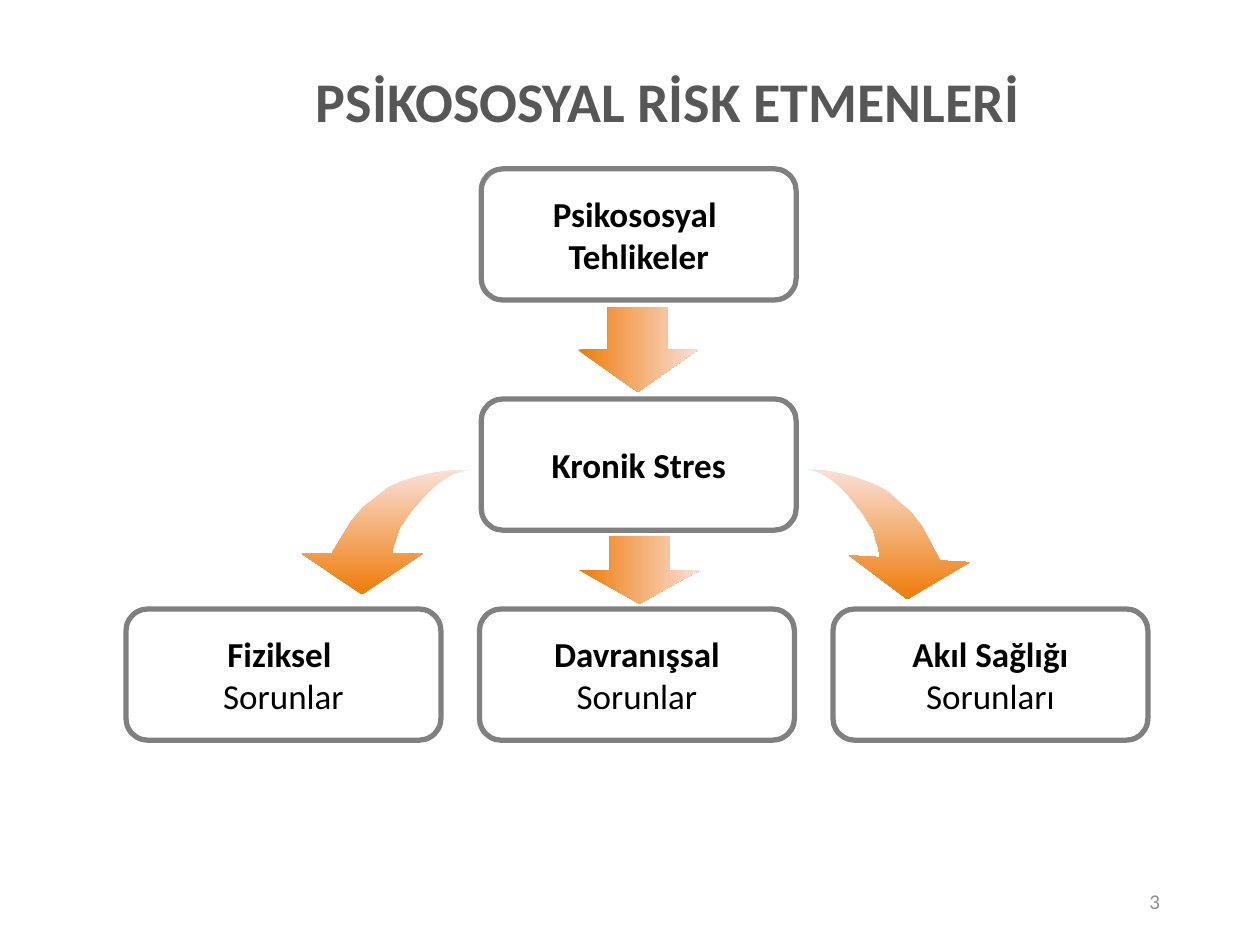
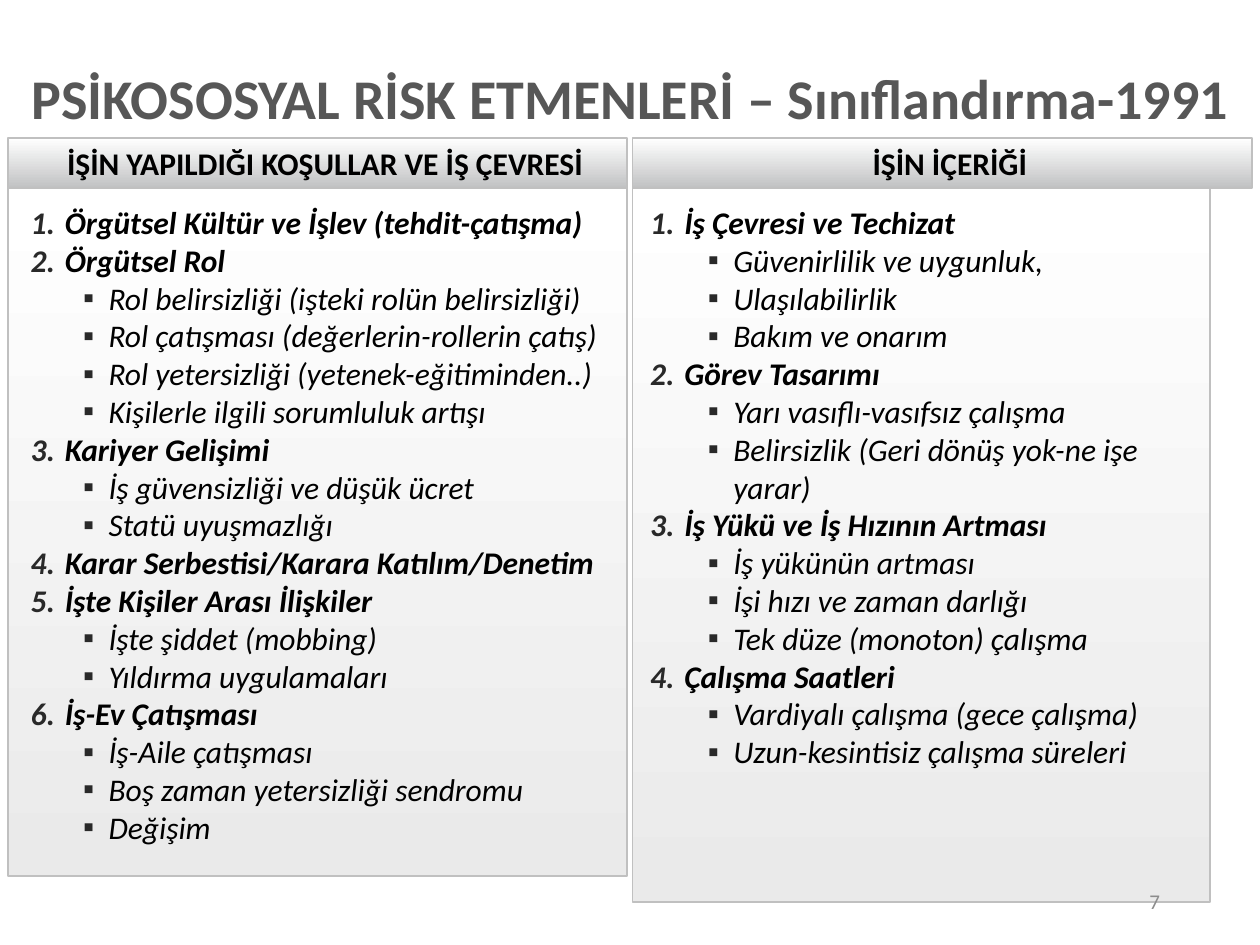
from math import cos, radians, sin

from lxml.etree import SubElement
from pptx import Presentation
from pptx.dml.color import RGBColor
from pptx.enum.shapes import MSO_SHAPE as SHAPE
from pptx.enum.text import MSO_ANCHOR as ANCHOR, MSO_AUTO_SIZE as AUTO, PP_ALIGN as ALIGN
from pptx.oxml.ns import qn
from pptx.util import Pt

FONT = "Calibri"
BLACK, TITLE_GRAY, PAGE_GRAY = "000000", "575757", "8C8C8C"
BOX_LINE, PANEL_LINE, BULLET = "808080", "C0C0C0", "292929"
ORANGE, PEACH = "EE7B08", "FAE0D8"
HEADER_GRADIENT = ("FFFFFF", "C1C2C3")
PANEL_GRADIENT = ("FFFFFF", "EAEAEA")

RISK_TITLE = "PSİKOSOSYAL RİSK ETMENLERİ"
CLASS_TITLE = "PSİKOSOSYAL RİSK ETMENLERİ – Sınıflandırma-1991"

CAUSES = [
    (96.5, [("Psikososyal ", True), ("Tehlikeler", True)]),
    (228, [("Kronik Stres", True)]),
]
PROBLEMS = [
    [("Fiziksel ", True), ("Sorunlar", False)],
    [("Davranışsal", True), ("Sorunlar", False)],
    [("Akıl Sağlığı", True), ("Sorunları", False)],
]
DOWN_ARROWS = [(330, 175.5, 69, 48.5), (331, 306.5, 69, 38.5)]
CURVED_ARROW = [
    (0, 0), (11, 0), (21, 1.5), (30, 3.5), (39.5, 6.5), (47.5, 10), (55, 16),
    (62, 21.5), (68.5, 29), (74, 38), (80, 48), (97, 48), (62.5, 71), (28, 48),
    (45.5, 48), (44.5, 43), (43, 39), (41, 33), (37.5, 28), (34, 23),
    (29.5, 18), (25, 13), (20, 8.5), (15, 5), (9.5, 2), (4, 0.5),
]

COLUMNS = [
    {
        "header": "İŞİN YAPILDIĞI KOŞULLAR VE İŞ ÇEVRESİ",
        "left": 4.5, "panel": (354, 393), "indent": 24,
        "groups": [
            ("Örgütsel Kültür ve İşlev (tehdit-çatışma)", []),
            ("Örgütsel Rol", [
                "Rol belirsizliği (işteki rolün belirsizliği)",
                "Rol çatışması (değerlerin-rollerin çatış)",
                "Rol yetersizliği (yetenek-eğitiminden..)",
                "Kişilerle ilgili sorumluluk artışı"]),
            ("Kariyer Gelişimi", [
                "İş güvensizliği ve düşük ücret",
                "Statü uyuşmazlığı"]),
            ("Karar Serbestisi/Karara Katılım/Denetim", []),
            ("İşte Kişiler Arası İlişkiler", [
                "İşte şiddet (mobbing)",
                "Yıldırma uygulamaları"]),
            ("İş-Ev Çatışması", [
                "İş-Aile çatışması",
                "Boş zaman yetersizliği sendromu",
                "Değişim"]),
        ],
    },
    {
        "header": "İŞİN İÇERİĞİ",
        "left": 361.5, "panel": (330, 408), "indent": 21,
        "groups": [
            ("İş Çevresi ve Techizat", [
                "Güvenirlilik ve uygunluk,",
                "Ulaşılabilirlik",
                "Bakım ve onarım"]),
            ("Görev Tasarımı", [
                "Yarı vasıflı-vasıfsız çalışma",
                "Belirsizlik (Geri dönüş yok-ne işe yarar)"]),
            ("İş Yükü ve İş Hızının Artması", [
                "İş yükünün artması",
                "İşi hızı ve zaman darlığı",
                "Tek düze (monoton) çalışma"]),
            ("Çalışma Saatleri", [
                "Vardiyalı çalışma (gece çalışma)",
                "Uzun-kesintisiz çalışma süreleri"]),
        ],
    },
]


def rgb(color):
    return RGBColor.from_string(color)


def place(sp, left, top, width, height):
    sp.left, sp.top, sp.width, sp.height = Pt(left), Pt(top), Pt(width), Pt(height)


def frame(sp, anchor, margins, wrap=True):
    tf = sp.text_frame
    tf.auto_size, tf.word_wrap, tf.vertical_anchor = AUTO.NONE, wrap, anchor
    tf.margin_left, tf.margin_top, tf.margin_right, tf.margin_bottom = map(Pt, margins)
    return tf


def style(p, size, color=BLACK, bold=False, italic=False, align=ALIGN.LEFT):
    p.alignment = align
    p.space_before = Pt(0)
    for r in p.runs:
        f = r.font
        f.name, f.size, f.bold, f.italic = FONT, Pt(size), bold, italic
        f.color.rgb = rgb(color)


def gradient(sp, colors, angle):
    sp.fill.gradient()
    sp.fill.gradient_angle = angle
    for stop, color in zip(sp.fill.gradient_stops, colors):
        stop.color.rgb = rgb(color)


def outline(sp, color, width):
    sp.line.color.rgb = rgb(color)
    sp.line.width = Pt(width)


def indent(p, left, first):
    pPr = p._p.get_or_add_pPr()
    pPr.set("marL", str(Pt(left)))
    pPr.set("indent", str(Pt(first)))
    return pPr


def bullet(p, left, first, numbered):
    pPr = indent(p, left, first)
    SubElement(SubElement(pPr, qn("a:buClr")), qn("a:srgbClr")).set("val", BULLET)
    if numbered:
        SubElement(pPr, qn("a:buFontTx"))
        SubElement(pPr, qn("a:buAutoNum")).set("type", "arabicPeriod")
    else:
        SubElement(pPr, qn("a:buChar")).set("char", "▪")


def new_slide(prs, layout, title, title_box, number):
    s = prs.slides.add_slide(prs.slide_layouts[layout])
    place(s.shapes.title, *title_box)
    tf = frame(s.shapes.title, ANCHOR.MIDDLE, (0, 3.6, 0, 3.6))
    tf.text = title
    tf.paragraphs[0].line_spacing = 0.9
    style(tf.paragraphs[0], 32, TITLE_GRAY, bold=True)
    sp = s.shapes.add_textbox(Pt(508), Pt(500.5), Pt(162), Pt(29))
    tf = frame(sp, ANCHOR.MIDDLE, (7.2, 3.6, 7.2, 3.6))
    tf.text = number
    style(tf.paragraphs[0], 12, PAGE_GRAY, align=ALIGN.RIGHT)
    return s


def add_box(s, left, top, lines):
    sp = s.shapes.add_shape(SHAPE.ROUNDED_RECTANGLE, Pt(left), Pt(top), Pt(180), Pt(75))
    sp.shadow.inherit = False
    sp.fill.background()
    outline(sp, BOX_LINE, 3)
    tf = frame(sp, ANCHOR.MIDDLE, (7.2, 3.6, 7.2, 3.6), wrap=False)
    tf.text = "\n".join(text for text, _ in lines)
    for p, (_, bold) in zip(tf.paragraphs, lines):
        style(p, 20, bold=bold, align=ALIGN.CENTER)


def finish_arrow(sp, colors, angle):
    sp.shadow.inherit = False
    sp.line.fill.background()
    gradient(sp, colors, angle)


def add_curved_arrow(s, left, top, side, turn):
    c, n = cos(radians(turn)), sin(radians(turn))
    points = [(Pt(left + side * x * c - y * n), Pt(top + side * x * n + y * c))
              for x, y in CURVED_ARROW]
    fb = s.shapes.build_freeform(*points[0])
    fb.add_line_segments(points[1:], close=True)
    finish_arrow(fb.convert_to_shape(), (PEACH, ORANGE), 270)


def fill_column(header, panel, column):
    width, height = column["panel"]
    place(header, column["left"], 79, 354, 28.5)
    gradient(header, HEADER_GRADIENT, 270)
    outline(header, PANEL_LINE, 1)
    tf = frame(header, ANCHOR.MIDDLE, (0, 0, 0, 0))
    tf.text = column["header"]
    indent(tf.paragraphs[0], 8.5, 0)
    style(tf.paragraphs[0], 18, bold=True, align=ALIGN.CENTER)

    place(panel, column["left"], 107.5, width, height)
    gradient(panel, PANEL_GRADIENT, 270)
    outline(panel, PANEL_LINE, 1)
    tf = frame(panel, ANCHOR.TOP, (8.5, 8.5, 11.5, 6))
    rows = [(text, level) for head, items in column["groups"]
            for text, level in [(head, 0)] + [(item, 1) for item in items]]
    tf.text = "\n".join(text for text, _ in rows)
    for p, (_, level) in zip(tf.paragraphs, rows):
        p.level = level
        if level:
            bullet(p, 49, -14.5, numbered=False)
        else:
            bullet(p, column["indent"], -19.5, numbered=True)
        style(p, 18, bold=level == 0, italic=True)


def build_risk_slide(prs):
    s = new_slide(prs, 5, RISK_TITLE, (180.5, 34, 434, 51), "3")
    for top, lines in CAUSES:
        add_box(s, 275, top, lines)
    for i, lines in enumerate(PROBLEMS):
        add_box(s, 72 + 202 * i, 348, lines)
    for box in DOWN_ARROWS:
        sp = s.shapes.add_shape(SHAPE.DOWN_ARROW, *map(Pt, box))
        finish_arrow(sp, (ORANGE, PEACH), 0)
    add_curved_arrow(s, 269.5, 268.5, -1, 0)
    add_curved_arrow(s, 460, 268, 1, 3.2)


def build_classification_slide(prs):
    s = new_slide(prs, 4, CLASS_TITLE, (18, 32.5, 694, 51), "7")
    for i, column in enumerate(COLUMNS):
        fill_column(s.placeholders[1 + 2 * i], s.placeholders[2 + 2 * i], column)


def main():
    prs = Presentation()
    prs.slide_width, prs.slide_height = Pt(720), Pt(540)
    build_risk_slide(prs)
    build_classification_slide(prs)
    prs.save("out.pptx")


if __name__ == "__main__":
    main()
